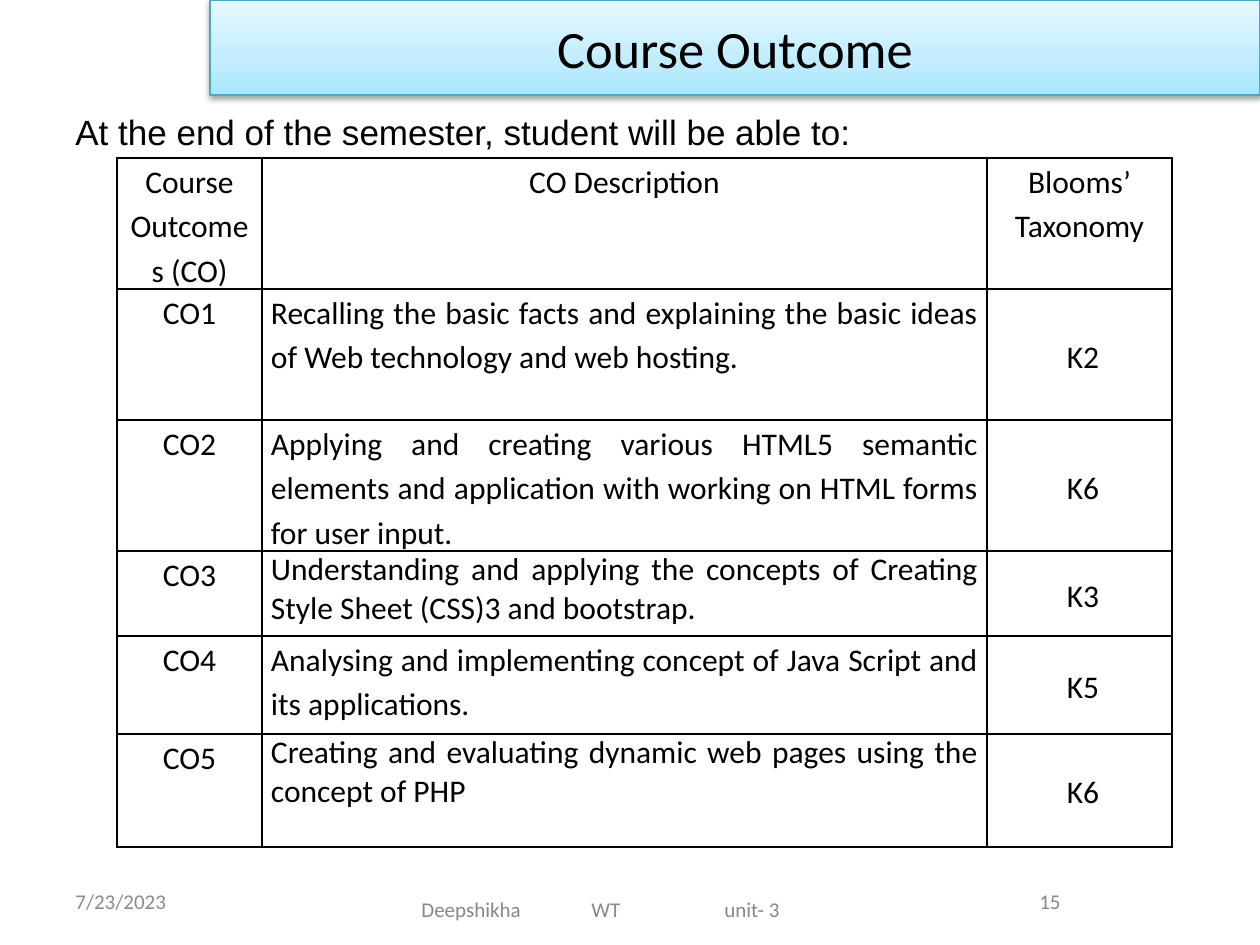
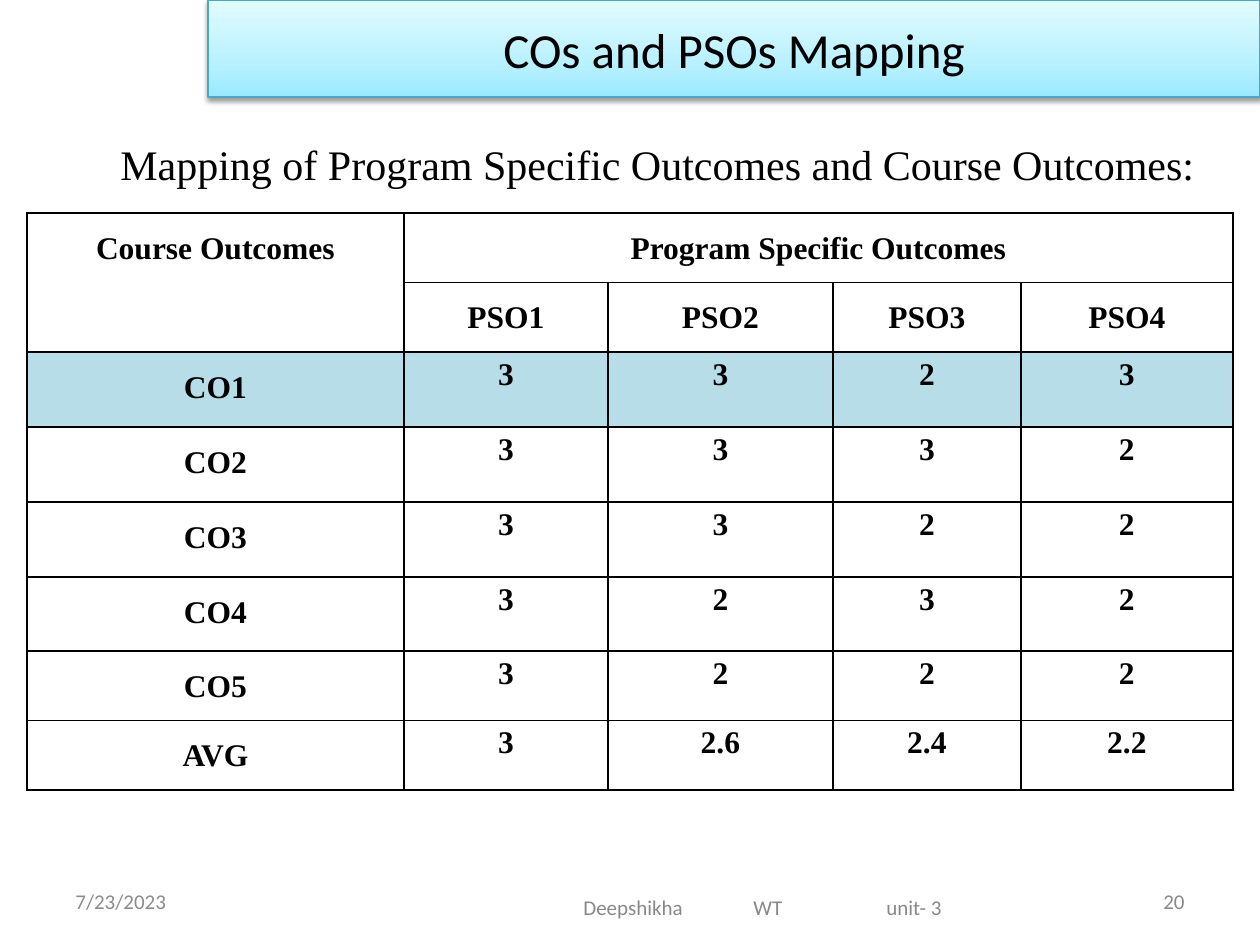
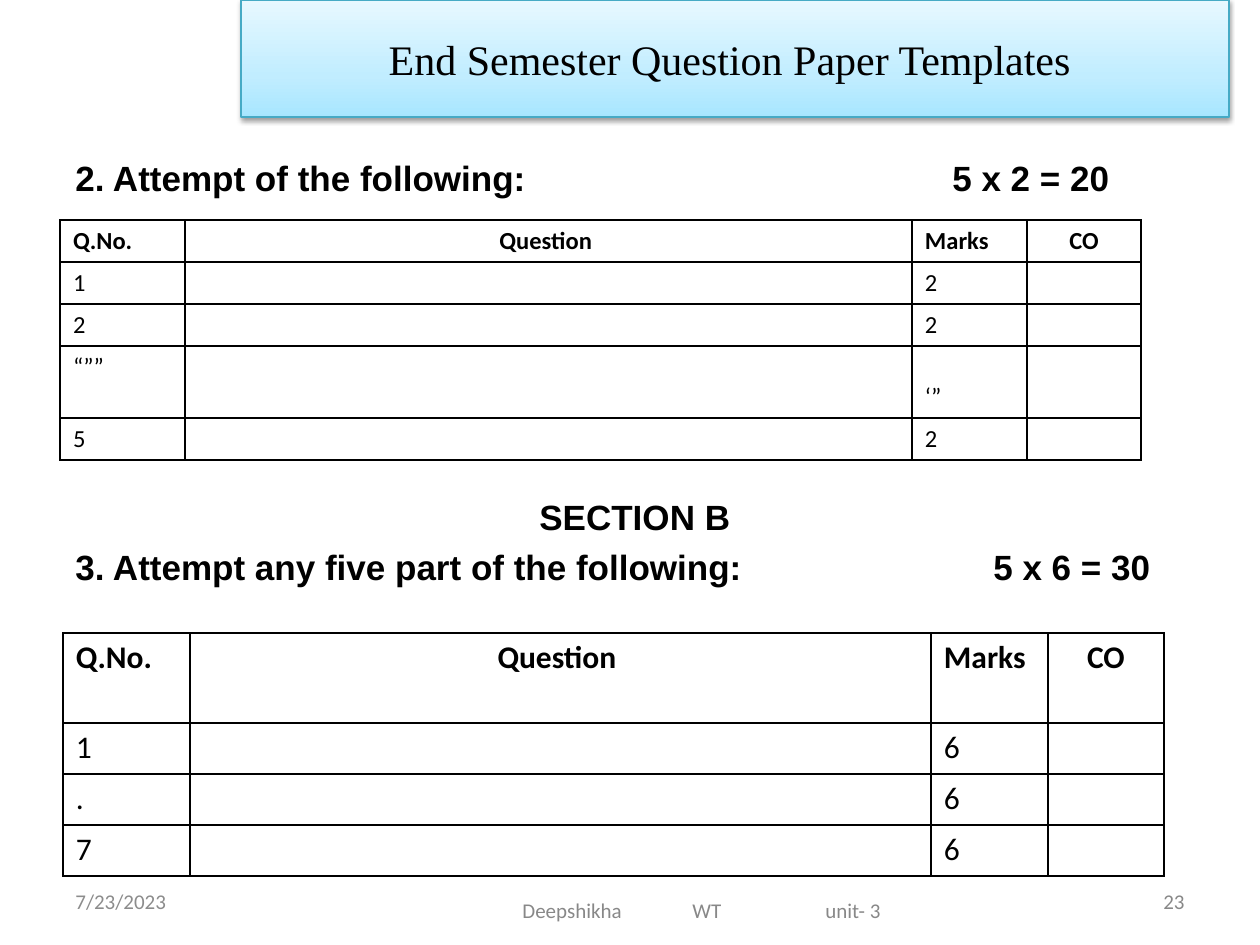
from lxml.etree import SubElement
from pptx import Presentation
from pptx.dml.color import RGBColor
from pptx.enum.shapes import MSO_SHAPE as SHAPE
from pptx.enum.text import MSO_ANCHOR as ANCHOR, PP_ALIGN as ALIGN
from pptx.oxml.ns import qn
from pptx.util import Pt

EMU_PER_PX = 914400 / 126

COLORS = {
    "text": "000000",
    "white": "FFFFFF",
    "footer": "888888",
    "date": "8C8C8C",
    "highlight": "B7DEE8",
    "band_line": "46AAC5",
}
SKY = ("A7E6FF", "C1EDFF", "E7F8FF")
AQUA = ("9BE9FF", "B8F1FF", "E2FBFF")
STOPS = (0, 35, 100)
FOOTER_TABS = (170, 303)
SERIF = "Times New Roman"


def px(n):
    return round(n * EMU_PER_PX)


def rgb(name):
    return RGBColor.from_string(COLORS[name])


# Text
def style(p, size, font, color="text", bold=False, align=ALIGN.LEFT):
    p.alignment = align
    for r in p.runs:
        r.font.size = Pt(size)
        r.font.name = font
        r.font.bold = bold
        r.font.color.rgb = rgb(color)


def add_tabs(p, stops):
    tabs = SubElement(p._p.get_or_add_pPr(), qn("a:tabLst"))
    for stop in stops:
        SubElement(tabs, qn("a:tab"), pos=str(px(stop)), algn="l")


def add_text(s, box, text, size, font="Calibri", anchor=ANCHOR.MIDDLE, **look):
    sp = s.shapes.add_textbox(*map(px, box))
    tf = sp.text_frame
    tf.word_wrap = True
    tf.vertical_anchor = anchor
    tf.text = text
    for p in tf.paragraphs:
        style(p, size, font, **look)
    return tf


# Title band with gradient and soft shadow
def add_band(s, box, text, size, font="Calibri", shades=SKY):
    sp = s.shapes.add_shape(SHAPE.RECTANGLE, *map(px, box))
    sp.fill.gradient()
    sp.fill.gradient_angle = 90
    stops = sp._element.spPr.find(".//" + qn("a:gsLst"))
    stops.clear()
    for pos, shade in zip(STOPS, shades):
        stop = SubElement(stops, qn("a:gs"), pos=str(pos * 1000))
        SubElement(stop, qn("a:srgbClr"), val=shade)
    sp.line.color.rgb = rgb("band_line")
    sp.line.width = Pt(0.75)

    sp.shadow.inherit = False
    effects = sp._element.spPr.find(qn("a:effectLst"))
    shadow = SubElement(effects, qn("a:outerShdw"), blurRad=str(Pt(3.1)),
                        dist=str(Pt(1.6)), dir="5400000", rotWithShape="0")
    black = SubElement(shadow, qn("a:srgbClr"), val=COLORS["text"])
    SubElement(black, qn("a:alpha"), val="38000")

    tf = sp.text_frame
    tf.word_wrap = True
    tf.vertical_anchor = ANCHOR.MIDDLE
    tf.text = text
    style(tf.paragraphs[0], size, font, align=ALIGN.CENTER)


def add_footer(s, number, left, top, number_align=ALIGN.RIGHT):
    add_text(s, (63, 876, 294, 50), "7/23/2023", 12, color="date")
    tf = add_text(s, (left, top, 420, 50), "Deepshikha\tWT\tunit- 3", 12,
                  color="footer")
    add_tabs(tf.paragraphs[0], FOOTER_TABS)
    add_text(s, (903, 876, 294, 50), str(number), 12, color="footer",
             align=number_align)


# Tables
def add_borders(cell):
    tc_pr = cell._tc.get_or_add_tcPr()
    for i, side in enumerate(("lnL", "lnR", "lnT", "lnB")):
        ln = SubElement(tc_pr, qn("a:" + side), w=str(Pt(1)))
        fill = SubElement(ln, qn("a:solidFill"))
        SubElement(fill, qn("a:srgbClr"), val=COLORS["text"])
        tc_pr.insert(i, ln)


def add_grid(s, left, top, widths, heights):
    box = map(px, (left, top, sum(widths), sum(heights)))
    table = s.shapes.add_table(len(heights), len(widths), *box).table
    table.first_row = table.horz_banding = False
    for column, width in zip(table.columns, widths):
        column.width = px(width)
    for row, height in zip(table.rows, heights):
        row.height = px(height)
    return table


def fill_cell(cell, text, size, font="Calibri", fill="white", margins=(13, 6),
              anchor=ANCHOR.TOP, spacing=None, **look):
    cell.fill.solid()
    cell.fill.fore_color.rgb = rgb(fill)
    add_borders(cell)
    cell.margin_left = cell.margin_right = px(margins[0])
    cell.margin_top = cell.margin_bottom = px(margins[1])
    cell.vertical_anchor = anchor
    cell.text = text
    p = cell.text_frame.paragraphs[0]
    p.line_spacing = spacing
    style(p, size, font, **look)
    if not text:
        SubElement(p._p, qn("a:endParaRPr"), sz=str(size * 100))
    return p


def add_outcomes(s):
    rows = [
        ("Course Outcomes (CO)", "CO Description", "Blooms’ Taxonomy"),
        ("CO1", "Recalling the basic facts and explaining the basic ideas of "
                "Web technology and web hosting.", " K2"),
        ("CO2", "Applying and creating various HTML5 semantic elements and "
                "application with working on HTML forms for user input.", " K6"),
        ("CO3", "Understanding and applying the concepts of Creating Style "
                "Sheet (CSS)3 and bootstrap.", " K3"),
        ("CO4", "Analysing and implementing concept of Java Script and its "
                "applications.", " K5"),
        ("CO5", "Creating and evaluating dynamic web pages using the concept "
                "of PHP", " K6"),
    ]
    tight_rows = (3, 5)
    table = add_grid(s, 117, 158, (145, 725, 185), (131, 131, 131, 85, 98, 113))
    for i, row in enumerate(rows):
        for j, text in enumerate(row):
            description, level = i and j == 1, i and j == 2
            tight = description and i in tight_rows
            p = fill_cell(table.cell(i, j), text, 18, margins=(9, 0),
                          anchor=ANCHOR.MIDDLE if level else ANCHOR.TOP,
                          spacing=None if tight else 1.15,
                          align=ALIGN.JUSTIFY if description else ALIGN.CENTER)
            if tight:
                p.space_before = Pt(3.6)
            if level:
                p.space_after = Pt(10)


def add_mapping(s):
    rows = [
        ("Course Outcomes", "Program Specific Outcomes", "", "", ""),
        ("", "PSO1", "PSO2", "PSO3", "PSO4"),
        ("CO1", "3", "3", "2", "3"),
        ("CO2", "3", "3", "3", "2"),
        ("CO3", "3", "3", "2", "2"),
        ("CO4", "3", "2", "3", "2"),
        ("CO5", "3", "2", "2", "2"),
        ("AVG", "3", "2.6", "2.4", "2.2"),
    ]
    table = add_grid(s, 27, 213, (377, 204, 225, 188, 212),
                     (69, 69, 75, 75, 75, 74, 69, 69))
    for i, row in enumerate(rows):
        for j, text in enumerate(row):
            value = i > 1 and j > 0
            fill_cell(table.cell(i, j), text, 18, SERIF,
                      fill="highlight" if i == 2 else "white",
                      margins=(9, 0 if value else 13), spacing=1.15,
                      bold=True, align=ALIGN.CENTER)
    table.cell(0, 0).merge(table.cell(1, 0))
    table.cell(0, 1).merge(table.cell(0, 4))


def add_questions(s, left, top, widths, heights, size, entries):
    table = add_grid(s, left, top, widths, heights)
    rows = [("Q.No.", "Question ", "Marks", "CO")]
    rows += [(number, "", marks, "") for number, marks in entries]
    for i, row in enumerate(rows):
        for j, text in enumerate(row):
            fill_cell(table.cell(i, j), text, size, bold=i == 0,
                      anchor=ANCHOR.BOTTOM if text == "‘”" else ANCHOR.TOP,
                      align=ALIGN.CENTER if j in (1, 3) else ALIGN.LEFT)


# Slides
def outcome_slide(s):
    add_band(s, (210, 0, 1050, 95), "Course Outcome", 30)
    add_text(s, (63, 104, 1197, 55),
             "At the end of the semester, student will be able to:", 20, "Arial")
    add_outcomes(s)
    add_footer(s, 15, 409, 884, ALIGN.CENTER)


def mapping_slide(s):
    add_band(s, (208, 0, 1052, 97), "COs and PSOs Mapping", 28, shades=AQUA)
    add_mapping(s)
    add_text(s, (108, 132, 1152, 115),
             "Mapping of Program Specific Outcomes and Course Outcomes:",
             24, SERIF, ANCHOR.TOP)
    add_footer(s, 20, 571, 882)


def question_slide(s):
    add_band(s, (241, 0, 988, 117), "End Semester Question Paper Templates ",
             24, SERIF)
    tf = add_text(s, (63, 150, 1134, 652),
                  "2. Attempt of the following:\t5 x 2 = 20\n"
                  " SECTION B\n"
                  "3. Attempt any five part of the following:\t5 x 6 = 30",
                  20, "Arial", ANCHOR.TOP, bold=True)
    first, section, third = tf.paragraphs
    section.alignment = ALIGN.CENTER
    section.space_before = Pt(170)
    third.space_before = Pt(4.6)
    add_tabs(first, [877])
    add_tabs(third, [918])
    add_questions(s, 60, 220, (125, 727, 115, 114), (42, 42, 42, 72, 42), 14,
                  [("1", "2"), ("2", "2"), ("“””", "‘”"), ("5", "2")])
    add_questions(s, 63, 633, (127, 741, 117, 116), (90, 51, 51, 51), 18,
                  [("1", "6"), (".", "6"), ("7", "6")])
    add_footer(s, 23, 510, 885)


def main():
    prs = Presentation()
    prs.slide_width, prs.slide_height = px(1260), px(945)
    for build in (outcome_slide, mapping_slide, question_slide):
        build(prs.slides.add_slide(prs.slide_layouts[6]))
    prs.save("out.pptx")


if __name__ == "__main__":
    main()
